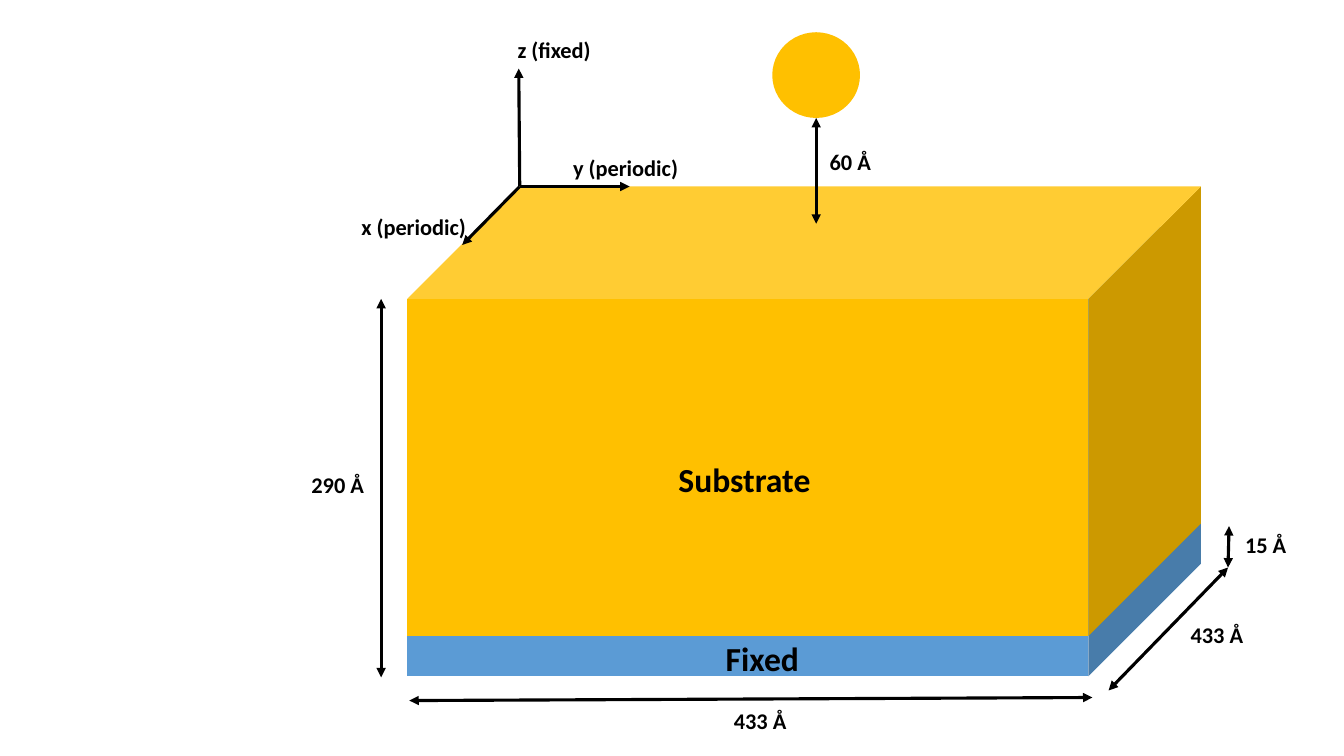
from lxml import etree
from pptx import Presentation
from pptx.dml.color import RGBColor
from pptx.enum.shapes import MSO_CONNECTOR, MSO_SHAPE
from pptx.oxml.ns import qn
from pptx.util import Inches, Pt

COLORS = {"gold": "FFC000", "blue": "5B9BD5", "black": "000000"}
FONT = "Calibri"
BLOCK_WIDTH, BLOCK_HEIGHT = 7.87, 4.46
BASE_HEIGHT = 0.4
DEPTH = BLOCK_HEIGHT / 4  # default depth of the cube preset


def add_solid(slide, preset, box, color):
    shape = slide.shapes.add_shape(preset, *map(Inches, box))
    shape.shadow.inherit = False
    shape.fill.solid()
    shape.fill.fore_color.rgb = RGBColor.from_string(COLORS[color])
    shape.line.fill.background()


def add_arrow(slide, start, end, double=True):
    connector = slide.shapes.add_connector(
        MSO_CONNECTOR.STRAIGHT, *map(Inches, (*start, *end)))
    connector.line.color.rgb = RGBColor.from_string(COLORS["black"])
    connector.line.width = Pt(2.25)
    line = connector.line._get_or_add_ln()
    for tag in ("a:headEnd", "a:tailEnd") if double else ("a:tailEnd",):
        etree.SubElement(line, qn(tag)).set("type", "triangle")
    etree.SubElement(connector._element.spPr, qn("a:effectLst"))


def add_label(slide, text, left, top, width=0.79, height=0.37, size=16):
    box = slide.shapes.add_textbox(*map(Inches, (left, top, width, height)))
    frame = box.text_frame
    frame.word_wrap = True
    frame.margin_right = 0
    paragraph = frame.paragraphs[0]
    paragraph.text = text
    paragraph.font.name = FONT
    paragraph.font.size = Pt(size)
    paragraph.font.bold = True
    paragraph.font.color.rgb = RGBColor.from_string(COLORS["black"])


def draw_block(slide, left, top):
    """Substrate cube resting on the fixed layer."""
    for offset, color in ((BASE_HEIGHT, "blue"), (0, "gold")):
        add_solid(slide, MSO_SHAPE.CUBE,
                  (left, top + offset, BLOCK_WIDTH, BLOCK_HEIGHT), color)
    add_label(slide, "Substrate", left + 2.59, top + 2.65, 1.59, 0.5, 24)
    add_label(slide, "Fixed", left + 3.06, top + 4.43, 0.96, 0.5, 24)


def draw_particle(slide, left, top):
    """Particle and its distance to the surface."""
    width, height = 0.87, 0.85
    add_solid(slide, MSO_SHAPE.OVAL, (left, top, width, height), "gold")
    center = left + width / 2
    add_arrow(slide, (center, top + height), (center, top + 1.9))
    add_label(slide, "60 Å", left + 0.47, top + 1.1)


def draw_axes(slide, x, y):
    """Coordinate axes from the rear left corner of the block."""
    axes = (
        ("z (fixed)", (-0.01, -1.17), (-0.12, -1.54), 0.93),
        ("x (periodic)", (-0.57, 0.58), (-1.67, 0.22), 1.25),
        ("y (periodic)", (1.09, 0), (0.43, -0.37), 1.25),
    )
    for text, (tip_x, tip_y), (label_x, label_y), width in axes:
        add_arrow(slide, (x, y), (x + tip_x, y + tip_y), double=False)
        add_label(slide, text, x + label_x, y + label_y, width)


def draw_dimensions(slide, left, top):
    """Measurements around the block."""
    right = left + BLOCK_WIDTH
    bottom = top + BLOCK_HEIGHT + BASE_HEIGHT
    front_right = right - DEPTH
    base_corner = (right + 0.27, bottom - 1.08)
    dimensions = (
        ("290 Å", (left - 0.26, top + DEPTH), (left - 0.26, bottom + 0.01),
         (left - 1.05, top + 2.77)),
        ("15 Å", (right + 0.28, bottom - 1.49), base_corner,
         (right + 0.34, bottom - 1.49)),
        ("433 Å", (front_right + 0.04, bottom + 0.21),
         (left + 0.02, bottom + 0.24), (left + 3.14, bottom + 0.26)),
        ("433 Å", base_corner, (front_right + 0.2, bottom + 0.14),
         (right - 0.2, bottom - 0.6)),
    )
    for text, start, end, label in dimensions:
        add_arrow(slide, start, end)
        add_label(slide, text, *label)


def main():
    presentation = Presentation()
    presentation.slide_width = Inches(13.33)
    presentation.slide_height = Inches(7.5)
    slide = presentation.slides.add_slide(presentation.slide_layouts[6])
    left, top = 4.04, 1.85
    draw_block(slide, left, top)
    draw_particle(slide, 7.66, 0.32)
    draw_axes(slide, left + DEPTH, top)
    draw_dimensions(slide, left, top)
    presentation.save("out.pptx")


if __name__ == "__main__":
    main()
